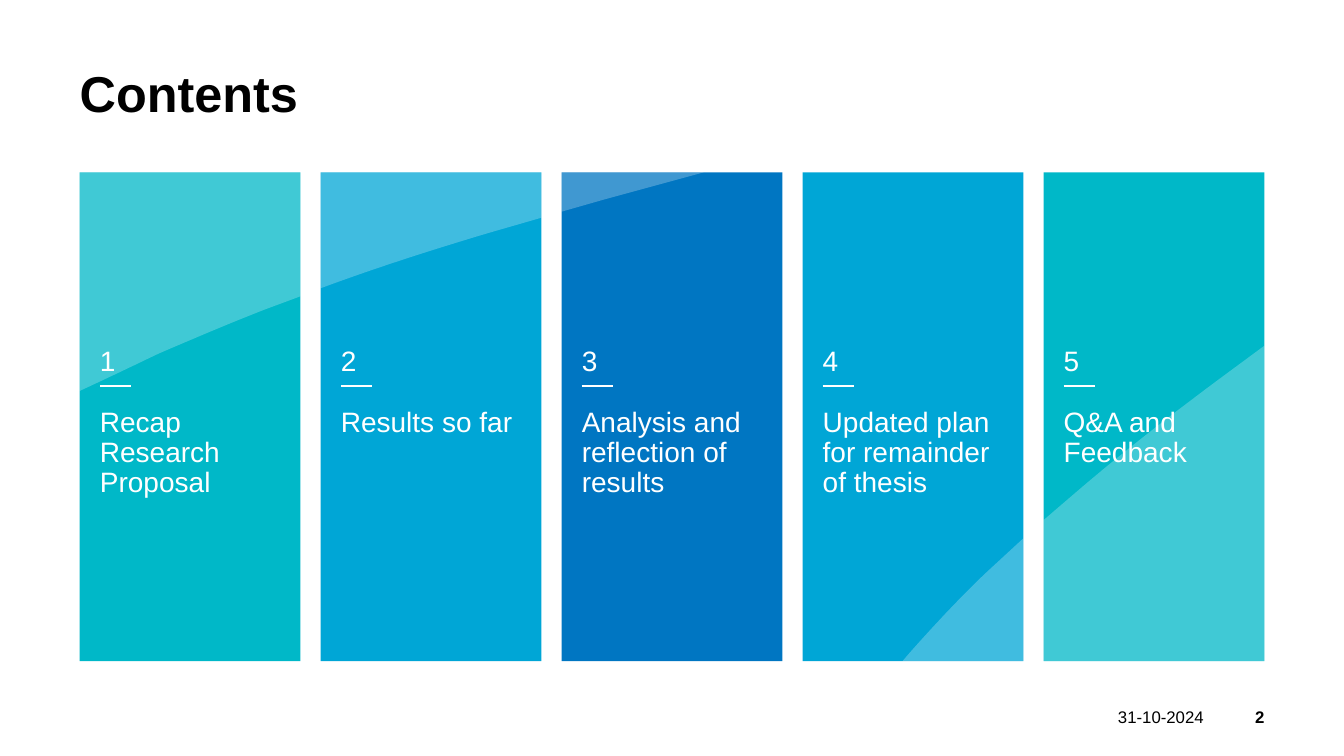
from dataclasses import dataclass

from lxml import etree
from pptx import Presentation
from pptx.dml.color import RGBColor
from pptx.enum.shapes import MSO_CONNECTOR, MSO_SHAPE
from pptx.enum.text import MSO_ANCHOR as Anchor, PP_ALIGN as Align
from pptx.oxml.ns import qn
from pptx.slide import Slide
from pptx.util import Inches, Pt

COLORS = {
    "turquoise": "00B8C8",
    "cyan": "00A6D6",
    "blue": "0076C2",
    "white": "FFFFFF",
    "black": "000000",
}
FONT = "Arial"
LEFT, TOP, WIDTH, HEIGHT = 0.79, 1.71, 2.19, 4.85
STEP = 2.39
PADDING = 0.2
CURVE_STEPS = 12

Point = tuple[float, float]


@dataclass(frozen=True)
class Panel:
    """Sheen steps hold one point for a line, or three for a cubic curve."""
    label: str
    color: str
    sheen: list[list[Point]]


PANELS = [
    Panel("Recap Research Proposal", "turquoise", [
        [(0.79, 1.71)], [(2.98, 1.71)], [(2.98, 2.94)], [(2.63, 3.07)],
        [(2.27, 3.21), (1.92, 3.36), (1.57, 3.51)],
        [(1.34, 3.62), (1.09, 3.74), (0.81, 3.87)], [(0.79, 3.88)]]),
    Panel("Results so far", "cyan", [
        [(3.18, 1.71)], [(5.37, 1.71)], [(5.37, 2.16)], [(4.85, 2.31)],
        [(4.28, 2.48), (3.72, 2.66), (3.18, 2.86)]]),
    Panel("Analysis and reflection of results", "blue", [
        [(5.57, 1.71)], [(6.98, 1.71)], [(5.99, 1.98)], [(5.57, 2.1)]]),
    Panel("Updated plan for remainder of thesis", "cyan", [
        [(10.15, 5.34)], [(10.15, 6.56)], [(8.95, 6.56)], [(9.01, 6.49)],
        [(9.24, 6.23), (9.49, 5.96), (9.76, 5.7)]]),
    Panel("Q&A and Feedback", "turquoise", [
        [(12.54, 3.43)], [(12.54, 6.56)], [(10.35, 6.56)], [(10.35, 5.16)],
        [(10.63, 4.92)], [(11.08, 4.53), (11.57, 4.15), (12.08, 3.77)]]),
]


def rgb(name: str) -> RGBColor:
    return RGBColor.from_string(COLORS[name])


def add_text(page: Slide, text: str, left: float, top: float, width: float,
             height: float, size: float, color: str = "black",
             bold: bool = False, anchor: Anchor = Anchor.TOP,
             align: Align = Align.LEFT, padding: float = 0,
             spacing: float | Pt = 1.0) -> None:
    box = page.shapes.add_textbox(
        Inches(left), Inches(top), Inches(width), Inches(height))
    frame = box.text_frame
    frame.text = text
    frame.word_wrap = True
    frame.vertical_anchor = anchor
    frame.margin_left = frame.margin_right = Inches(padding)
    frame.margin_top = frame.margin_bottom = 0
    para = frame.paragraphs[0]
    para.alignment = align
    para.line_spacing = spacing
    for span in para.runs:
        span.font.name = FONT
        span.font.size = Pt(size)
        span.font.bold = bold
        span.font.color.rgb = rgb(color)


def flatten(steps: list[list[Point]]) -> list[Point]:
    """Turn line and curve steps into the points of one outline."""
    points = []
    for step in steps:
        if len(step) == 1:
            points += step
            continue
        controls = [points[-1], *step]
        for index in range(1, CURVE_STEPS + 1):
            t = index / CURVE_STEPS
            weights = ((1 - t) ** 3, 3 * t * (1 - t) ** 2,
                       3 * t ** 2 * (1 - t), t ** 3)
            x, y = (sum(w * c[axis] for w, c in zip(weights, controls))
                    for axis in (0, 1))
            points.append((x, y))
    return points


def add_sheen(page: Slide, steps: list[list[Point]]) -> None:
    first, *rest = [(Inches(x), Inches(y)) for x, y in flatten(steps)]
    builder = page.shapes.build_freeform(*first)
    builder.add_line_segments(rest, close=True)
    sheen = builder.convert_to_shape()
    sheen.shadow.inherit = False
    sheen.line.fill.background()
    sheen.fill.solid()
    sheen.fill.fore_color.rgb = rgb("white")
    color = sheen.fill._xPr.find(f".//{qn('a:srgbClr')}")
    etree.SubElement(color, qn("a:alpha"), val="25000")


def add_rule(page: Slide, left: float, top: float, length: float) -> None:
    rule = page.shapes.add_connector(
        MSO_CONNECTOR.STRAIGHT, Inches(left), Inches(top),
        Inches(left + length), Inches(top))
    rule.line.color.rgb = rgb("white")
    rule.line.width = Pt(1)
    etree.SubElement(rule._element.spPr, qn("a:effectLst"))


def add_panel(page: Slide, index: int, panel: Panel) -> None:
    left = LEFT + index * STEP
    card = page.shapes.add_shape(
        MSO_SHAPE.RECTANGLE, Inches(left), Inches(TOP),
        Inches(WIDTH), Inches(HEIGHT))
    card.shadow.inherit = False
    card.line.fill.background()
    card.fill.solid()
    card.fill.fore_color.rgb = rgb(panel.color)
    add_sheen(page, panel.sheen)
    add_text(page, panel.label, left, 4.05, WIDTH, 2.51, 20, "white",
             padding=PADDING, spacing=0.9)
    add_text(page, str(index + 1), left, 3.45, WIDTH, 0.3, 20, "white",
             anchor=Anchor.BOTTOM, padding=PADDING, spacing=0.9)
    add_rule(page, left + PADDING, 3.83, 0.31)


def main() -> None:
    deck = Presentation()
    deck.slide_width, deck.slide_height = Inches(13.33), Inches(7.5)
    page = deck.slides.add_slide(deck.slide_layouts[6])

    add_text(page, "Contents", LEFT, 0.72, 11.76, 0.5, 36,
             bold=True, spacing=Pt(36))
    for index, panel in enumerate(PANELS):
        add_panel(page, index, panel)
    add_text(page, "31-10-2024", 10.94, 7.01, 1, 0.2, 12,
             anchor=Anchor.MIDDLE, align=Align.RIGHT)
    add_text(page, "2", 12.22, 7.01, 0.32, 0.2, 12, bold=True,
             anchor=Anchor.MIDDLE, align=Align.RIGHT)

    deck.save("out.pptx")


if __name__ == "__main__":
    main()
